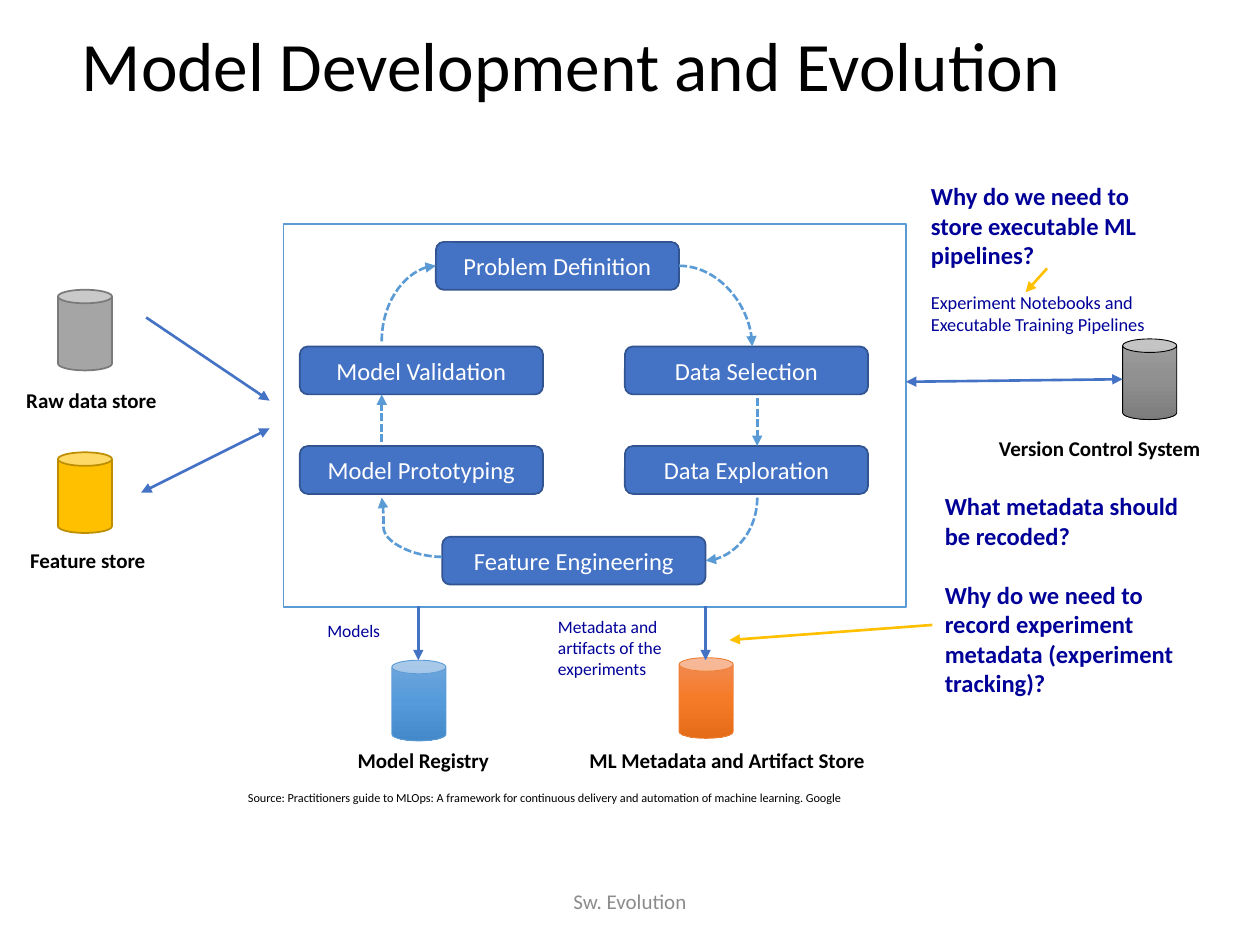
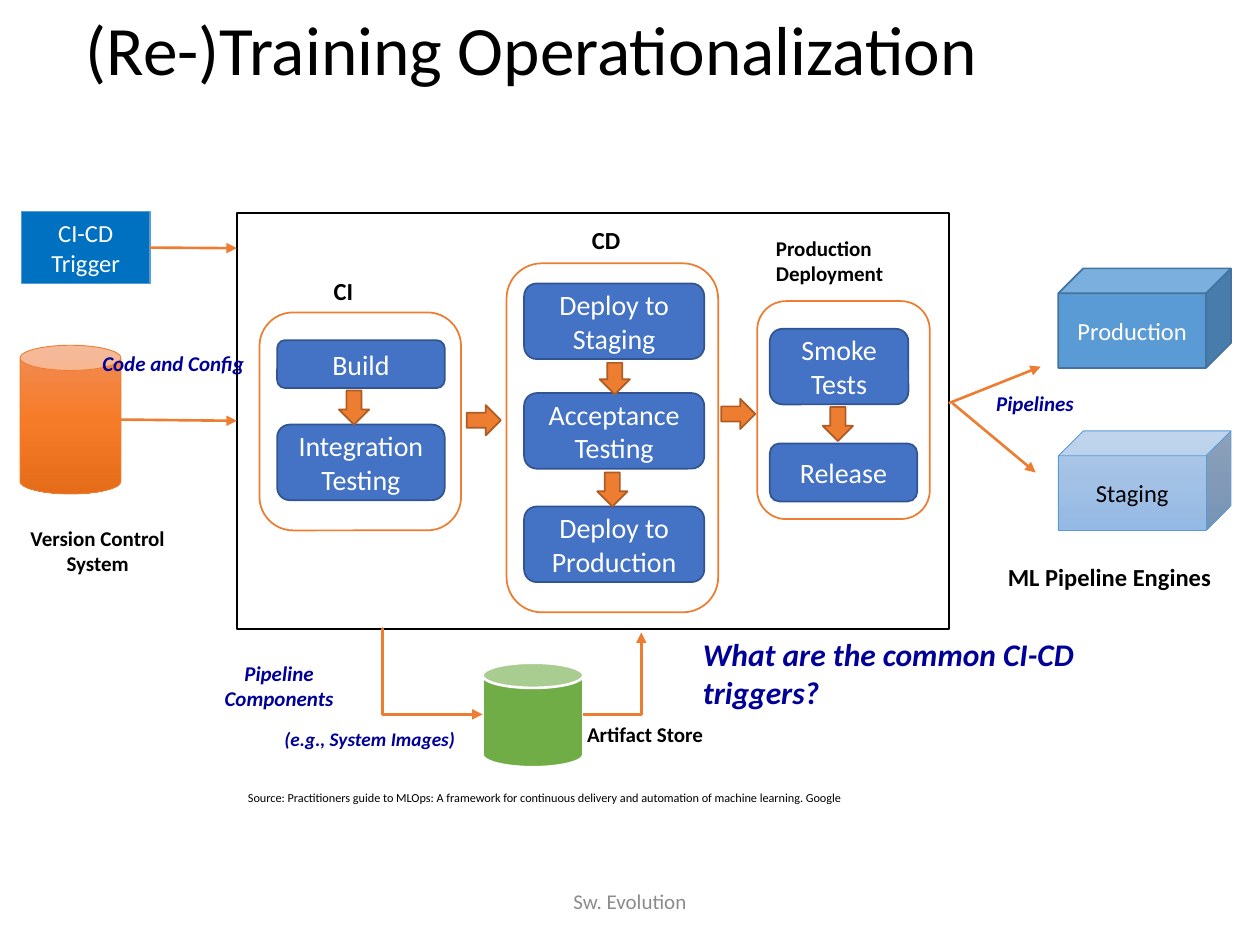
from copy import deepcopy
from dataclasses import dataclass

from lxml import etree
from pptx import Presentation, util as u
from pptx.dml.color import RGBColor
from pptx.enum import shapes, text
from pptx.oxml.ns import qn

Kind = shapes.MSO_SHAPE
Line = shapes.MSO_CONNECTOR
Align = text.PP_ALIGN
Spot = tuple[float, float]
Area = tuple[float, float, float, float]


@dataclass(frozen=True)
class Paint:
    fill: str | tuple[str, str, str] | None
    line: str
    width: float = 1


@dataclass(frozen=True)
class Theme:
    font: str = "Calibri"
    black: str = "000000"
    white: str = "FFFFFF"
    navy: str = "000099"
    gray: str = "8C8C8C"
    blue: str = "4472C4"
    sky: str = "5B9BD5"
    gold: str = "FFC000"
    rust: str = "ED7D31"
    title: float = 39.6
    ask: float = 18
    step: float = 16
    head: float = 14
    body: float = 12
    hint: float = 11
    note: float = 10.5
    small: float = 10
    source: float = 7
    task: Paint = Paint("4472C4", "325491")
    arrow: Paint = Paint("ED7D31", "AF5C24")
    group: Paint = Paint(None, "ED7D31")
    ember: Paint = Paint(("F18C57", "F67B28", "E56C19"), "ED7D31", 0.5)


T = Theme()


@dataclass(frozen=True)
class Part:
    """A preset shape, with centred text if it has any."""
    at: Area
    paint: Paint
    kind: Kind = Kind.CAN
    words: str = ""
    size: float = T.head
    ink: str = T.white
    turn: float = 0


@dataclass(frozen=True)
class Label:
    words: str
    at: Area
    size: float = T.body
    ink: str = T.black
    bold: bool = True
    slant: bool = False
    align: Align = Align.LEFT
    wrap: bool = True
    gap: float = 0
    anchor: text.MSO_ANCHOR = text.MSO_ANCHOR.TOP


@dataclass(frozen=True)
class Link:
    """A connector; upright means that a bent one leaves its start vertically."""
    start: Spot
    end: Spot
    ink: str
    both: bool = False
    dash: bool = False
    form: str = "line"
    bend: int | None = None
    upright: bool = False


def place(at) -> list:
    return [u.Inches(n) for n in at]


def style(frame, size: float, ink: str, bold=False, slant=False, align=Align.LEFT) -> None:
    for para in frame.paragraphs:
        para.alignment = align
        for run in para.runs:
            font = run.font
            font.name, font.size = T.font, u.Pt(size)
            font.bold, font.italic = bold, slant
            font.color.rgb = RGBColor.from_string(ink)


def coat(shape, paint: Paint) -> None:
    fill = shape.fill
    if paint.fill is None:
        fill.background()
    elif isinstance(paint.fill, str):
        fill.solid()
        fill.fore_color.rgb = RGBColor.from_string(paint.fill)
    else:
        fill.gradient()
        fill.gradient_angle = 270
        stops = shape._element.spPr.find(qn("a:gradFill")).find(qn("a:gsLst"))
        stops.append(deepcopy(stops[0]))
        for stop, ink, spot in zip(fill.gradient_stops, paint.fill, (0, 0.5, 1)):
            stop.color.rgb = RGBColor.from_string(ink)
            stop.position = spot
    shape.line.color.rgb = RGBColor.from_string(paint.line)
    shape.line.width = u.Pt(paint.width)


def add_part(slide, part: Part):
    shape = slide.shapes.add_shape(part.kind, *place(part.at))
    shape.shadow.inherit = False
    shape.rotation = part.turn
    coat(shape, part.paint)
    if part.words:
        frame = shape.text_frame
        frame.text = part.words
        frame.vertical_anchor = text.MSO_ANCHOR.MIDDLE
        style(frame, part.size, part.ink, align=Align.CENTER)
    return shape


def add_label(slide, label: Label) -> None:
    frame = slide.shapes.add_textbox(*place(label.at)).text_frame
    frame.text = label.words
    frame.word_wrap = label.wrap
    frame.vertical_anchor = label.anchor
    style(frame, label.size, label.ink, label.bold, label.slant, label.align)
    for para in frame.paragraphs[1:]:
        para.space_before = u.Pt(label.gap)


def add_link(slide, link: Link):
    (x1, y1), (x2, y2) = link.start, link.end
    if link.upright:  # ends as they lie before a quarter turn
        mid_x, mid_y = (x1 + x2) / 2, (y1 + y2) / 2
        half_w, half_h = (y2 - y1) / 2, (x1 - x2) / 2
        x1, y1, x2, y2 = mid_x - half_w, mid_y - half_h, mid_x + half_w, mid_y + half_h
    wire = slide.shapes.add_connector(Line.STRAIGHT, *place((x1, y1, x2, y2)))
    wire.line.color.rgb = RGBColor.from_string(link.ink)
    wire.line.width = u.Pt(1.5)
    props = wire._element.spPr
    if link.upright:
        props.find(qn("a:xfrm")).set("rot", "5400000")
    shape = props.find(qn("a:prstGeom"))
    shape.set("prst", link.form)
    if link.bend is not None:
        etree.SubElement(shape.find(qn("a:avLst")), qn("a:gd"), name="adj1", fmla=f"val {link.bend}")
    stroke = props.find(qn("a:ln"))
    if link.dash:
        etree.SubElement(stroke, qn("a:prstDash"), val="sysDash")
    for tip in ("a:headEnd", "a:tailEnd")[not link.both:]:
        etree.SubElement(stroke, qn(tip), type="triangle")
    etree.SubElement(props, qn("a:effectLst"))
    return wire


def add_page(deck, title: str, left: float, top: float):
    """Add a slide with its title, source line and footer."""
    slide = deck.slides.add_slide(deck.slide_layouts[5])
    shape = slide.shapes.title
    shape.left, shape.top, shape.width, shape.height = place((left, top, 8.58, 0.38))
    frame = shape.text_frame
    frame.text = title
    frame.auto_size = text.MSO_AUTO_SIZE.NONE
    frame.vertical_anchor = text.MSO_ANCHOR.MIDDLE
    frame.paragraphs[0].line_spacing = 0.9
    style(frame, T.title, T.black)
    add_label(slide, Label(
        "Source: Practitioners guide to MLOps: A framework for continuous delivery "
        "and automation of machine learning. Google",
        (1.87, 6.22, 5.7, 0.22), T.source, bold=False))
    add_label(slide, Label("Sw. Evolution", (3.31, 6.95, 3.38, 0.4), T.body, T.gray, False,
                           align=Align.CENTER, anchor=text.MSO_ANCHOR.MIDDLE))
    return slide


def fill_page(slide, parts: list[Part], links: list[Link], labels: list[Label]) -> None:
    for part in parts:
        add_part(slide, part)
    for link in links:
        add_link(slide, link)
    for label in labels:
        add_label(slide, label)


def task(words: str, at: Area, size: float = T.step) -> Part:
    return Part(at, T.task, Kind.ROUNDED_RECTANGLE, words, size)


def model_page(deck) -> None:
    slide = add_page(deck, "Model Development and Evolution", 0.55, 0.36)
    steps = [("Problem Definition", 3.46, 1.92, 1.93), ("Data Selection", 4.96, 2.75, 1.93),
             ("Data Exploration", 4.96, 3.54, 1.93), ("Feature Engineering", 3.51, 4.26, 2.09),
             ("Model Validation", 2.38, 2.75, 1.93), ("Model Prototyping", 2.38, 3.54, 1.93)]
    stores = [(0.46, 2.3, Paint("A5A5A5", "7A7A7A")),
              (0.46, 3.59, Paint(T.gold, "BD8E00")),
              (3.11, 5.24, Paint(("71A6DB", "559BDB", "448ACA"), T.sky, 0.5)),
              (5.39, 5.22, T.ember),
              (8.91, 2.69, Paint(("9D9D9D", "909090", "7C7C7C"), T.black, 0.5))]
    parts = [Part((2.25, 1.78, 4.94, 3.04), Paint(None, T.sky), Kind.RECTANGLE)]
    parts += [task(words, (x, y, w, 0.38), T.head) for words, x, y, w in steps]
    parts += [Part((x, y, 0.43, 0.64), paint) for x, y, paint in stores]
    curve = "curvedConnector2"
    links = [
        Link((5.39, 2.11), (5.97, 2.75), T.sky, dash=True, form=curve),
        Link((6.01, 3.16), (6.01, 3.54), T.sky, dash=True),
        Link((6.01, 3.95), (5.6, 4.45), T.sky, dash=True, form=curve, upright=True),
        Link((3.51, 4.42), (3.03, 3.95), T.sky, dash=True, form="curvedConnector3", bend=97100),
        Link((3.03, 3.51), (3.03, 3.13), T.sky, dash=True),
        Link((3.03, 2.71), (3.46, 2.11), T.sky, dash=True, form=curve, upright=True),
        Link((1.16, 2.52), (2.14, 3.18), T.blue),
        Link((1.12, 3.91), (2.14, 3.4), T.blue, both=True),
        Link((3.32, 4.81), (3.32, 5.24), T.blue),
        Link((5.6, 4.81), (5.6, 5.24), T.blue),
        Link((7.19, 3.03), (8.91, 3.01), T.blue, both=True),
        Link((7.4, 4.96), (5.79, 5.08), T.gold),
        Link((8.31, 2.13), (8.14, 2.32), T.gold),
    ]
    labels = [
        Label("Raw data store", (0.11, 3.03, 1.25, 0.3), wrap=False),
        Label("Feature store", (0.14, 4.3, 1.13, 0.3), wrap=False),
        Label("Model Registry", (2.74, 5.88, 1.26, 0.3), wrap=False),
        Label("ML Metadata and Artifact Store", (4.58, 5.88, 2.86, 0.3)),
        Label("Version Control System", (7.83, 3.41, 1.82, 0.3), wrap=False),
        Label("Metadata and artifacts of the\nexperiments", (4.33, 4.84, 1.08, 0.61),
              T.small, T.navy, False),
        Label("Models", (2.5, 4.87, 0.7, 0.27), T.small, T.navy, False),
        Label("Experiment Notebooks and\nExecutable Training Pipelines", (7.29, 2.26, 2, 0.45),
              T.note, T.navy, False),
        Label("Why do we need to store executable ML pipelines?", (7.29, 1.39, 2.04, 0.81),
              T.head, T.navy),
        Label("What metadata should be recoded?\nWhy do we need to record experiment "
              "metadata (experiment tracking)?", (7.4, 3.85, 2.27, 1.75),
              T.head, T.navy, gap=17),
    ]
    fill_page(slide, parts, links, labels)


def train_page(deck) -> None:
    slide = add_page(deck, "(Re-)Training Operationalization", 0.58, 0.23)
    frame = add_part(slide, Part((1.88, 1.69, 5.65, 3.3), Paint(None, T.black), Kind.RECTANGLE))
    cue = add_part(slide, Part((0.17, 1.68, 1.02, 0.57), Paint("0070C0", T.sky),
                               Kind.RECTANGLE, "CI-CD Trigger"))
    groups = [(2.06, 2.48, 1.6, 1.73), (4.02, 2.09, 1.68, 2.77), (6.01, 2.39, 1.37, 1.73)]
    arrows = [(4.76, 2.88, 0.25, 0), (4.74, 3.75, 0.27, 0), (6.53, 3.23, 0.27, 0),
              (2.69, 3.1, 0.27, 0), (3.72, 3.2, 0.27, 270), (5.74, 3.15, 0.27, 270)]
    parts = [
        task("Build", (2.2, 2.7, 1.33, 0.38)),
        task("Integration Testing", (2.2, 3.37, 1.33, 0.6)),
        task("Deploy to Staging", (4.16, 2.25, 1.43, 0.6)),
        task("Acceptance Testing", (4.16, 3.12, 1.43, 0.6)),
        task("Deploy to Production", (4.16, 4.02, 1.43, 0.6)),
        task("Smoke Tests", (6.11, 2.61, 1.1, 0.6)),
        task("Release", (6.11, 3.52, 1.17, 0.46)),
        Part((8.4, 2.13, 1.37, 0.79), Paint(T.sky, "43739E"), Kind.CUBE, "Production"),
        Part((8.4, 3.42, 1.37, 0.79), Paint(("B1CBE9", "A3C1E5", "93B9E4"), T.sky, 0.5),
             Kind.CUBE, "Staging", ink=T.black),
        Part((0.16, 2.74, 0.8, 1.18), T.ember),
        Part((3.83, 5.26, 0.8, 0.83), Paint("70AD47", T.white, 1.5)),
    ]
    parts += [Part((x, y, 0.24, h), T.arrow, Kind.DOWN_ARROW, turn=turn)
              for x, y, h, turn in arrows]
    parts += [Part(at, T.group, Kind.ROUNDED_RECTANGLE) for at in groups]
    links = [
        Link((3.03, 4.99), (3.83, 5.67), T.rust, form="bentConnector3", bend=600),
        Link((4.63, 5.67), (5.09, 5.02), T.rust, form="bentConnector2"),
        Link((7.53, 3.2), (8.26, 2.91), T.rust),
        Link((7.56, 3.2), (8.22, 3.75), T.rust),
    ]
    mid = Align.CENTER
    labels = [
        Label("ML Pipeline Engines", (7.9, 4.41, 1.83, 0.34), T.head, wrap=False),
        Label("CI", (2.55, 2.14, 0.36, 0.34), T.head, wrap=False),
        Label("CD", (4.6, 1.74, 0.43, 0.34), T.head, wrap=False),
        Label("Production Deployment", (6.06, 1.82, 1.47, 0.5)),
        Label("Version Control\nSystem", (0.04, 4.12, 1.47, 0.5), align=mid),
        Label("Artifact Store", (4.52, 5.68, 1.2, 0.3), align=mid),
        Label("Pipeline Components", (1.48, 5.19, 1.47, 0.5), T.body, T.navy, slant=True, align=mid),
        Label("Code and Config", (0.64, 2.73, 1.47, 0.3), T.body, T.navy, slant=True, align=mid),
        Label("Pipelines", (7.48, 3.05, 1.47, 0.3), T.body, T.navy, slant=True, align=mid),
        Label("What are the common CI-CD triggers?", (5.48, 4.99, 3.59, 0.71),
              T.ask, T.navy, slant=True),
        Label("(e.g., System Images)", (2.16, 5.72, 1.77, 0.29), T.hint, T.navy, slant=True),
    ]
    fill_page(slide, parts, links, labels)
    add_link(slide, Link((1.19, 1.97), (1.88, 1.97), T.rust)).begin_connect(cue, 3)
    add_link(slide, Link((0.96, 3.33), (1.88, 3.34), T.rust)).end_connect(frame, 1)


def main() -> None:
    deck = Presentation()
    deck.slide_width, deck.slide_height = place((10, 7.5))
    model_page(deck)
    train_page(deck)
    deck.save("out.pptx")


if __name__ == "__main__":
    main()
